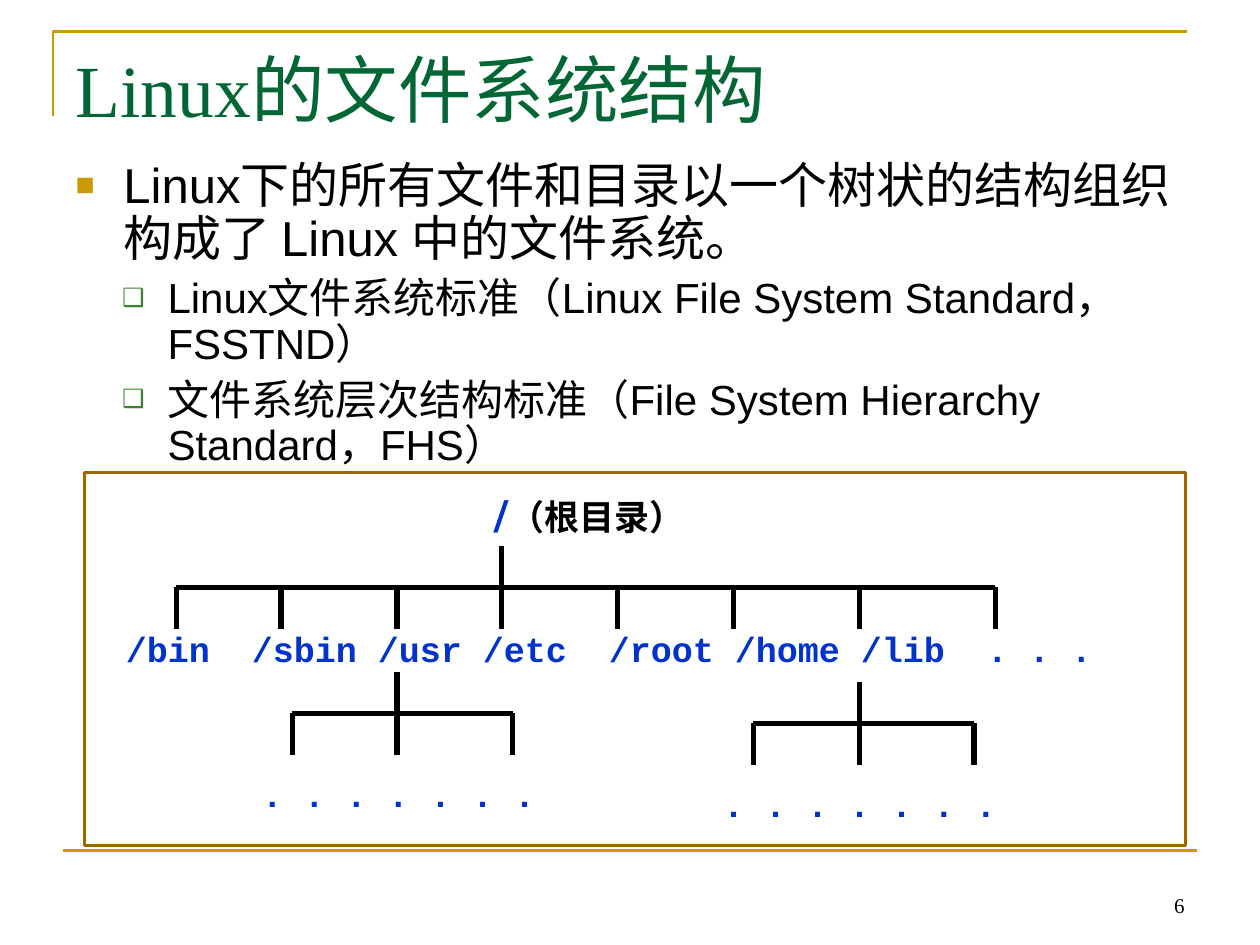
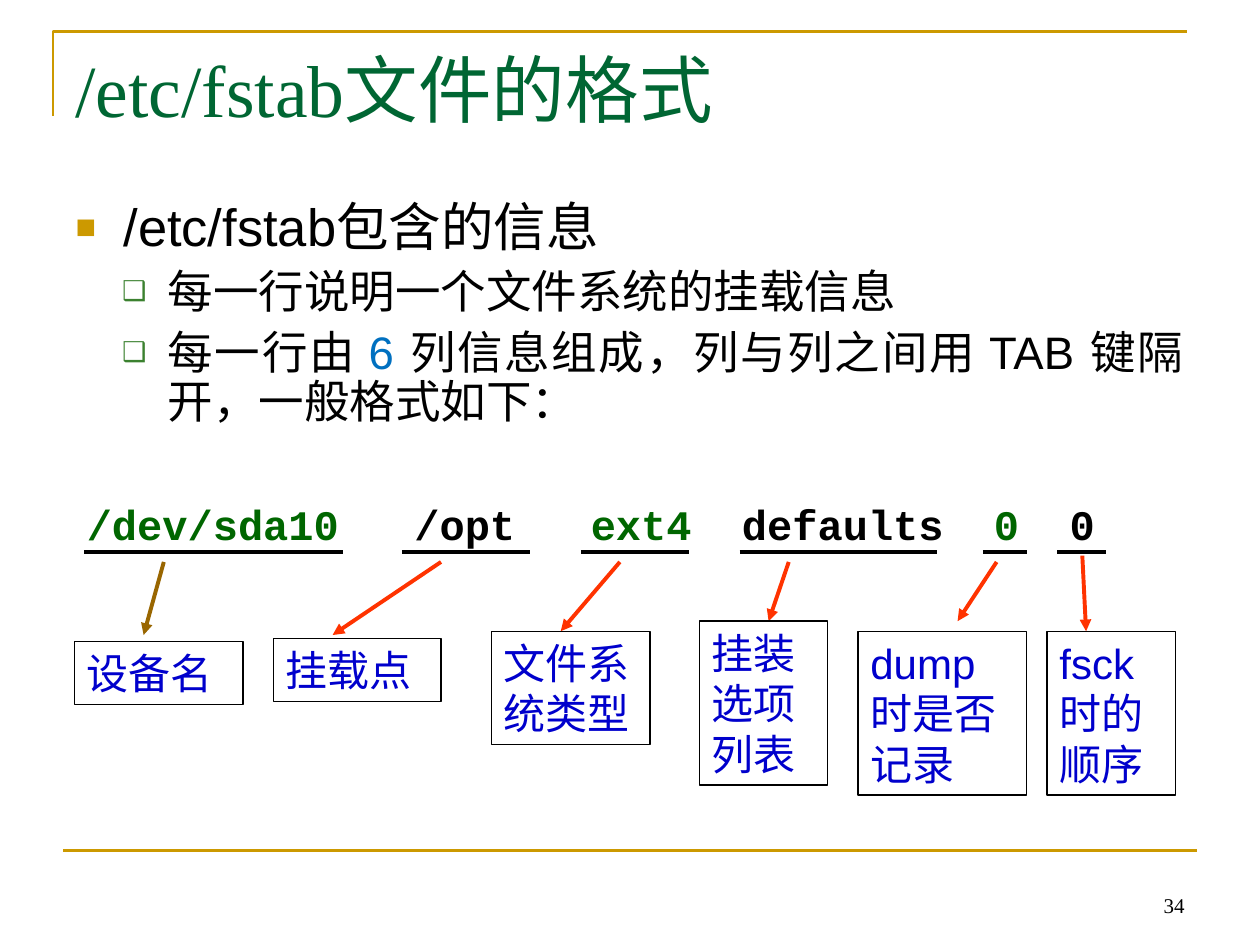
import pptx
import pptx.util
import pptx.dml.color
import pptx.enum.shapes
import pptx.enum.text
import pptx.oxml.ns
import lxml.etree

Pt = pptx.util.Pt
qn = pptx.oxml.ns.qn
Align = pptx.enum.text.PP_ALIGN
Anchor = pptx.enum.text.MSO_ANCHOR
Fit = pptx.enum.text.MSO_AUTO_SIZE
Shape = pptx.enum.shapes.MSO_SHAPE

HUES = {
    "gold": "CC9900", "brown": "996600", "title": "006633", "leaf": "3B812F",
    "black": "000000", "node": "0033CC", "note": "0000CC", "field": "006600",
    "arrow": "FF3300", "count": "0070C0",
}
WIDE, HIGH = pptx.util.Inches(10), pptx.util.Inches(7.5)
CELL = WIDE / 100

HEAD = {"size": Pt(42), "name": "Times New Roman", "color": "title"}
PAGE = {"size": Pt(12), "name": "Times New Roman", "color": "black"}
NODE = {"size": Pt(20), "name": "Courier New", "bold": True, "color": "node"}
ROOT = {"size": Pt(24), "name": "Roboto", "bold": True, "color": "node"}
FIELD = {"size": Pt(24), "name": "Courier New", "bold": True}
NOTE = {"size": Pt(24), "name": "Arial", "color": "note"}
BODY = {"name": "Arial", "color": "black"}
MARKS = [("■", "gold", 65, 3.8, -3.8), ("❑", "leaf", 60, 7.3, -3.6)]


def grid(*nums):
    return [round(num * CELL) for num in nums]


def rgb(hue):
    return pptx.dml.color.RGBColor.from_string(HUES[hue])


def put(item, form):
    for key, val in form.items():
        if key == "color":
            item.color.rgb = rgb(val)
        else:
            setattr(item, key, val)


def write(para, runs, form):
    for text, extra in runs:
        run = para.add_run()
        run.text = text
        put(run.font, {**form, **extra})


def tabs(para, stops):
    props = para._p.get_or_add_pPr()
    group = lxml.etree.SubElement(props, qn("a:tabLst"))
    for stop in grid(*stops):
        lxml.etree.SubElement(group, qn("a:tab"), pos=str(stop), algn="l")


def label(slide, box, runs, form, fit=Fit.NONE, anchor=Anchor.TOP):
    frame = slide.shapes.add_textbox(*grid(*box)).text_frame
    put(frame, {"word_wrap": True, "auto_size": fit, "vertical_anchor": anchor})
    write(frame.paragraphs[0], runs, form)
    return frame.paragraphs[0]


def line(slide, ends, hue, width, arrow=False):
    link = slide.shapes.add_connector(
        pptx.enum.shapes.MSO_CONNECTOR.STRAIGHT, *grid(*ends))
    put(link.line, {"color": hue, "width": Pt(width)})
    props = link.element.spPr
    if arrow:
        lxml.etree.SubElement(props.find(qn("a:ln")), qn("a:tailEnd"), type="triangle")
    lxml.etree.SubElement(props, qn("a:effectLst"))


def outline(shape, hue, width):
    shape.shadow.inherit = False
    shape.fill.background()
    put(shape.line, {"color": hue, "width": Pt(width)})


def bands(slide, page):
    left, top, width, height = 4.2, 2.5, 90, 6.7
    pen = slide.shapes.build_freeform(*grid(left, top + height))
    pen.add_line_segments([grid(left, top), grid(left + width, top)], close=False)
    outline(pen.convert_to_shape(), "gold", 1.5)
    line(slide, (5, 67.5, 95, 67.5), "gold", 1.5)
    para = label(slide, (71.7, 68.3, 23.3, 5), [(page, {})], PAGE,
                 anchor=Anchor.BOTTOM)
    para.alignment = Align.RIGHT


def place(holder, box):
    put(holder, dict(zip(("left", "top", "width", "height"), grid(*box))))
    frame = holder.text_frame
    put(frame, {"word_wrap": True, "auto_size": Fit.NONE,
                "vertical_anchor": Anchor.TOP})
    return frame


def start(deck, title, page):
    slide = deck.slides.add_slide(deck.slide_layouts[1])
    bands(slide, page)
    para = place(slide.shapes.title, (5, 3, 90, 12.5)).paragraphs[0]
    para.alignment = Align.LEFT
    write(para, [(title, {})], HEAD)
    return slide


def bullet(para, level):
    mark, hue, size, left, hang = MARKS[level]
    props = para._p.get_or_add_pPr()
    for key, val in zip(("marL", "indent"), grid(left, hang)):
        props.set(key, str(val))
    tint = lxml.etree.SubElement(props, qn("a:buClr"))
    lxml.etree.SubElement(tint, qn("a:srgbClr"), val=HUES[hue])
    lxml.etree.SubElement(props, qn("a:buSzPct"), val=str(size * 1000))
    lxml.etree.SubElement(props, qn("a:buFont"), typeface="Arial")
    lxml.etree.SubElement(props, qn("a:buChar"), char=mark)


def points(slide, box, items, sizes, gap, align):
    frame = place(slide.placeholders[1], box)
    for spot, (level, runs) in enumerate(items):
        para = frame.add_paragraph() if spot else frame.paragraphs[0]
        bullet(para, level)
        put(para, {"level": level, "line_spacing": 0.9, "alignment": align,
                   "space_before": Pt(gap if spot else 0)})
        write(para, runs, {**BODY, "size": Pt(sizes[level])})


def fork(slide, box, bar, trunk, drops):
    left, top = box[:2]
    step, bar, trunk = 3.3, top + bar, left + trunk
    line(slide, (left + drops[0], bar, left + drops[-1], bar), "black", 3)
    line(slide, (trunk, bar - step, trunk, bar), "black", 3)
    for drop in drops:
        line(slide, (left + drop, bar, left + drop, bar + step), "black", 3)


def tree(slide, box):
    left, top = box[:2]
    label(slide, (left + 31.5, top + 0.8, 21.7, 5),
          [("/", {}), ("（根目录）", {"size": Pt(20), "color": "black"})],
          ROOT, Fit.SHAPE_TO_FIT_TEXT)
    fork(slide, box, 9.1, 33.1, [7.3, 15.6, 24.8, 33.1, 42.3, 51.5, 61.5, 72.3])
    names = ["/bin", "/sbin", "/usr", "/etc", "/root", "/home", "/lib", ". . ."]
    para = label(slide, (left + 2.3, top + 11.8, 85.8, 4.4),
                 [("\t".join(names), {})], NODE, Fit.SHAPE_TO_FIT_TEXT)
    tabs(para, [10, 20, 28.33, 38.33, 48.33, 58.33, 68.33])
    for bar, drops in [(19.1, [16.5, 24.8, 34]), (19.9, [53.1, 61.5, 70.6])]:
        fork(slide, box, bar, drops[1], drops)
        label(slide, (left + drops[0] - 3.4, top + bar + 4.2, 27.5, 4.4),
              [(" ".join("." * 7), {})], NODE, Fit.SHAPE_TO_FIT_TEXT)
    outline(slide.shapes.add_shape(Shape.RECTANGLE, *grid(*box)), "brown", 1.5)


def note(slide, box, text):
    shape = slide.shapes.add_shape(Shape.RECTANGLE, *grid(*box))
    outline(shape, "black", 0.75)
    frame = shape.text_frame
    put(frame, {"word_wrap": True, "auto_size": Fit.SHAPE_TO_FIT_TEXT,
                "vertical_anchor": Anchor.TOP})
    frame.paragraphs[0].alignment = Align.LEFT
    write(frame.paragraphs[0], [(text, {})], NOTE)


def fields(slide, box, parts):
    left, top, width, height = box
    runs = []
    for spot, part in enumerate(parts):
        hue = "black" if spot % 2 else "field"
        tab = "\t" if spot else ""
        runs.append((tab + part[0], {"color": hue}))
    para = label(slide, (left, top, width, 5.8), runs, FIELD)
    tabs(para, [26, 40, 52, 72, 78])
    rule = top + 4.7
    for spot, (name, under, arrow, area, text) in enumerate(parts):
        first, last = under
        line(slide, (left + first, rule, left + last, rule), "black", 2.25)
        x1, y1, x2, y2 = arrow
        line(slide, (left + x1, top + y1, left + x2, top + y2),
             "arrow" if spot else "brown", 2.25, True)
        x, y, wide, high = area
        note(slide, (left + x, top + y, wide, high), text)


def layout(deck):
    slide = start(deck, "Linux的文件系统结构", "6")
    points(slide, (5, 12.3, 90, 54.7), [
        (0, [("Linux下的所有文件和目录以一个树状的结构组织构成了 Linux 中的文件系统。", {})]),
        (1, [("Linux文件系统标准（Linux File System Standard，FSSTND）", {})]),
        (1, [("文件系统层次结构标准（File System Hierarchy Standard，FHS）", {})]),
    ], (28, 24), 6, Align.LEFT)
    tree(slide, (6.7, 37.5, 87.4, 29.6))


def fstab(deck):
    slide = start(deck, "/etc/fstab文件的格式", "34")
    points(slide, (5, 15.5, 89.9, 21.3), [
        (0, [("/etc/fstab", {}), ("包含的信息", {"name": "Times New Roman"})]),
        (1, [("每一行说明一个文件系统的挂载信息", {})]),
        (1, [("每一行由 ", {}), ("6 ", {"color": "count"}),
             ("列信息组成，列与列之间用 TAB 键隔开，一般格式如下：", {})]),
    ], (30, 26), 6.5, Align.JUSTIFY)
    fields(slide, (5.9, 39.1, 85.8, 24), [
        ("/dev/sda10", (0.8, 21.3), (7.1, 5.5, 5.5, 11.3),
         (0, 11.8, 13.4, 5), "设备名"),
        ("/opt", (26, 36.2), (29.1, 5.5, 20.5, 11.3),
         (15.8, 11.6, 13.3, 5), "挂载点"),
        ("ext4", (40.2, 48.8), (43.3, 5.5, 38.6, 11),
         (33.1, 11, 12.6, 9), "文件系统类型"),
        ("defaults", (52.8, 68.5), (56.7, 5.5, 55.1, 10.2),
         (49.6, 10.2, 10.2, 13), "挂装选项列表"),
        ("0", (72.1, 75.6), (73.2, 5.5, 70.1, 10.2),
         (62.2, 11, 13.4, 13), "dump时是否记录"),
        ("0", (78, 81.9), (80, 5, 80.3, 11),
         (77.2, 11, 10.2, 13), "fsck时的顺序"),
    ])


def main():
    deck = pptx.Presentation()
    put(deck, {"slide_width": WIDE, "slide_height": HIGH})
    layout(deck)
    fstab(deck)
    deck.save("out.pptx")


if __name__ == "__main__":
    main()
